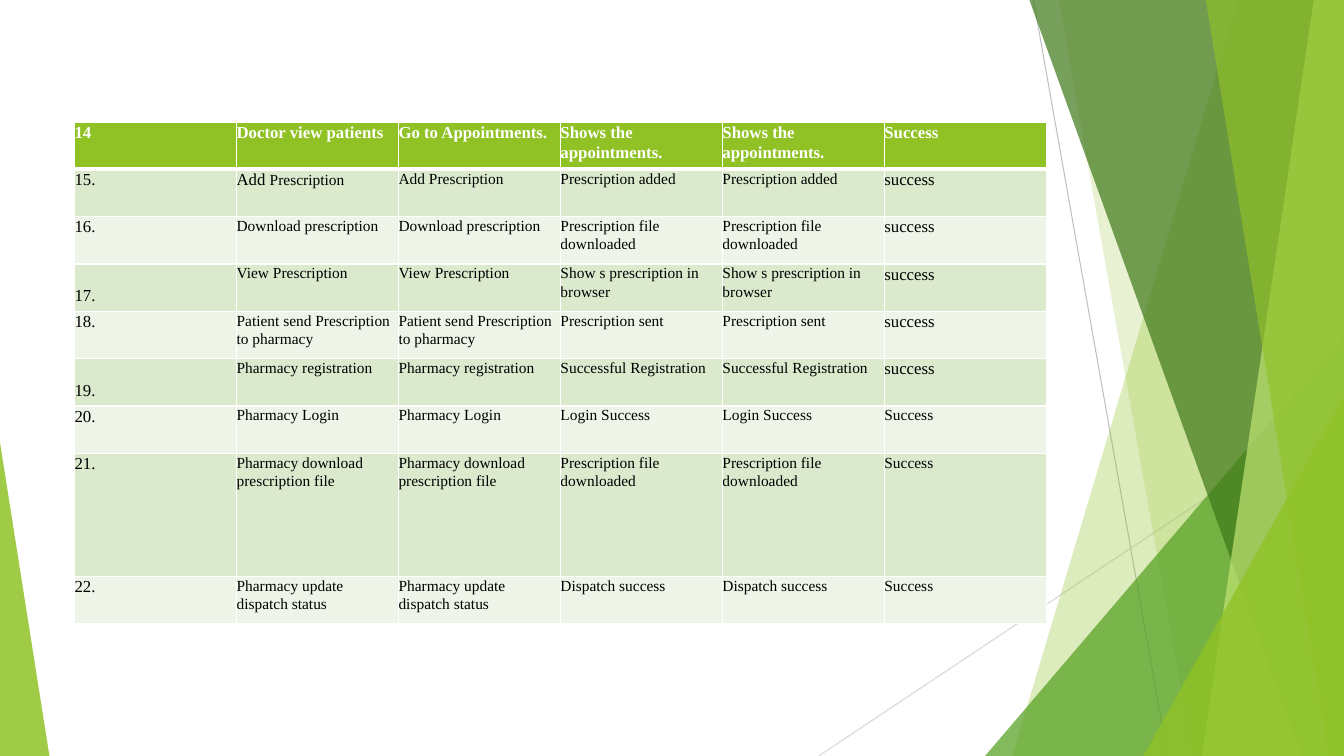
from dataclasses import dataclass

from lxml import etree
from pptx import Presentation
from pptx.dml.color import RGBColor
from pptx.enum.shapes import MSO_CONNECTOR, MSO_SHAPE
from pptx.oxml.ns import qn
from pptx.util import Inches, Pt

STRAIGHT = MSO_CONNECTOR.STRAIGHT
TRIANGLE = MSO_SHAPE.ISOSCELES_TRIANGLE


@dataclass(frozen=True)
class Theme:
    font: str = "Times New Roman"
    large: int = 12
    small: int = 11
    spacing: float = 1.07
    white: str = "FFFFFF"
    black: str = "000000"
    lime: str = "90C226"
    green: str = "54A021"
    forest: str = "3F7819"
    pale: str = "C0E474"
    bands: tuple = ("DBE9CD", "EEF4E8")


THEME = Theme()
WIDE, HIGH = 13.33, 7.5

# number, test case, step, result (expected and actual agree), status
HEAD = ("14", "Doctor view patients", "Go to Appointments.",
        "Shows the appointments.", "Success")
TESTS = [
    ("15.", "Add Prescription", "Add Prescription", "Prescription added", "success"),
    ("16.", "Download prescription", "Download prescription",
     "Prescription file downloaded", "success"),
    ("17.", "View Prescription", "View Prescription",
     "Show s prescription in browser", "success"),
    ("18.", "Patient send Prescription to pharmacy",
     "Patient send Prescription to pharmacy", "Prescription sent", "success"),
    ("19.", "Pharmacy registration", "Pharmacy registration",
     "Successful Registration", "success"),
    ("20.", "Pharmacy Login", "Pharmacy Login", "Login Success", "Success"),
    ("21.", "Pharmacy download prescription file",
     "Pharmacy download prescription file", "Prescription file downloaded", "Success"),
    ("22.", "Pharmacy update dispatch status",
     "Pharmacy update dispatch status", "Dispatch success", "Success"),
]
LOWERED = ("17.", "19.")
DROP = 0.21
LEFT, TOP, SPAN = 0.74, 1.21, 9.64
ROW, TALL = 0.47, 1.22
TALL_ROW = "21."

# start, end, colour
RULES = [
    ((10.25, 0), (11.58, HIGH), "BFBFBF"),
    ((WIDE, 4.03), (8.12, HIGH), "D9D9D9"),
]
# panels: (left edge at top, left edge at foot); wedges: (left, top, width, apex)
DECOR = [
    ((12.28, 10.04), THEME.lime, 30),
    ((10.5, 11.83), THEME.lime, 20),
    ((9.77, 3.33, 3.56, 1), THEME.green, 72),
    ((10.21, 12.91), THEME.forest, 70),
    ((13.03, 11.92), THEME.pale, 70),
    ((11.96, 13.18), THEME.lime, 65),
    ((11.34, 3.93, 1.99, 1), THEME.lime, 80),
    ((0, 4.39, 0.49, 0), THEME.lime, 85),
]


def rgb(code):
    return RGBColor.from_string(code)


def add_rule(slide, start, end, color):
    ends = [Inches(n) for n in (*start, *end)]
    rule = slide.shapes.add_connector(STRAIGHT, *ends)
    rule.line.color.rgb = rgb(color)
    rule.line.width = Pt(0.75)
    etree.SubElement(rule.element.spPr, qn("a:effectLst"))


def add_panel(slide, head, foot):
    """Add a panel that reaches from a slanted left edge to the slide's right edge."""
    pen = slide.shapes.build_freeform(Inches(head), 0)
    corners = [(WIDE, 0), (WIDE, HIGH), (foot, HIGH)]
    pen.add_line_segments([(Inches(x), Inches(y)) for x, y in corners])
    return pen.convert_to_shape()


def add_wedge(slide, left, top, width, apex):
    box = [Inches(n) for n in (left, top, width, HIGH - top)]
    wedge = slide.shapes.add_shape(TRIANGLE, *box)
    wedge.adjustments[0] = apex
    return wedge


def paint(shape, color, alpha):
    """Fill without line or shadow; alpha is the opacity in percent."""
    shape.shadow.inherit = False
    shape.line.fill.background()
    shape.fill.solid()
    shape.fill.fore_color.rgb = rgb(color)
    tint = shape.element.spPr.find(qn("a:solidFill"))[0]
    etree.SubElement(tint, qn("a:alpha"), val=str(alpha * 1000))


def add_edges(props, head):
    """Put white borders on a cell, thicker below the header row."""
    for place, side in enumerate(("L", "R", "T", "B")):
        points = 3 if head and side == "B" else 1
        edge = etree.Element(qn("a:ln" + side), w=str(Pt(points)))
        fill = etree.SubElement(edge, qn("a:solidFill"))
        etree.SubElement(fill, qn("a:srgbClr"), val=THEME.white)
        props.insert(place, edge)


def write(cell, parts, color, bold):
    """Fill a cell with (text, size) runs in one paragraph."""
    line = cell.text_frame.paragraphs[0]
    line.line_spacing = THEME.spacing
    for text, size in parts:
        run = line.add_run()
        run.text = text
        run.font.name = THEME.font
        run.font.size = Pt(size)
        run.font.bold = bold
        run.font.color.rgb = rgb(color)


def split(text, row, col):
    """Give the sized runs of one cell."""
    if row == 1 and col == 1:
        verb, noun = text.split()
        return [(verb + " ", THEME.large), (noun, THEME.small)]
    big = row == 0 or col == 0 or text == "success"
    return [(text, THEME.large if big else THEME.small)]


def add_tests(slide):
    rows = [(*test[:4], *test[3:]) for test in [HEAD, *TESTS]]
    heights = [TALL if row[0] == TALL_ROW else ROW for row in rows]
    count = len(rows[0])
    box = [Inches(n) for n in (LEFT, TOP, SPAN, sum(heights))]
    frame = slide.shapes.add_table(len(rows), count, *box)
    table = frame.table
    for col in table.columns:
        col.width = Inches(SPAN / count)
    for r, row in enumerate(rows):
        table.rows[r].height = Inches(heights[r])
        head = r == 0
        for c, text in enumerate(row):
            cell = table.cell(r, c)
            cell.margin_left = cell.margin_right = cell.margin_bottom = 0
            cell.margin_top = Inches(DROP) if text in LOWERED else 0
            cell.fill.solid()
            cell.fill.fore_color.rgb = rgb(THEME.lime if head else THEME.bands[(r - 1) % 2])
            write(cell, split(text, r, c), THEME.white if head else THEME.black, head)
    for place, props in enumerate(frame.element.iter(qn("a:tcPr"))):
        add_edges(props, place < count)


def main():
    deck = Presentation()
    deck.slide_width, deck.slide_height = Inches(WIDE), Inches(HIGH)
    slide = deck.slides.add_slide(deck.slide_layouts[6])
    for rule in RULES:
        add_rule(slide, *rule)
    for form, color, alpha in DECOR:
        add = add_panel if len(form) == 2 else add_wedge
        paint(add(slide, *form), color, alpha)
    add_tests(slide)
    deck.save("out.pptx")


if __name__ == "__main__":
    main()
